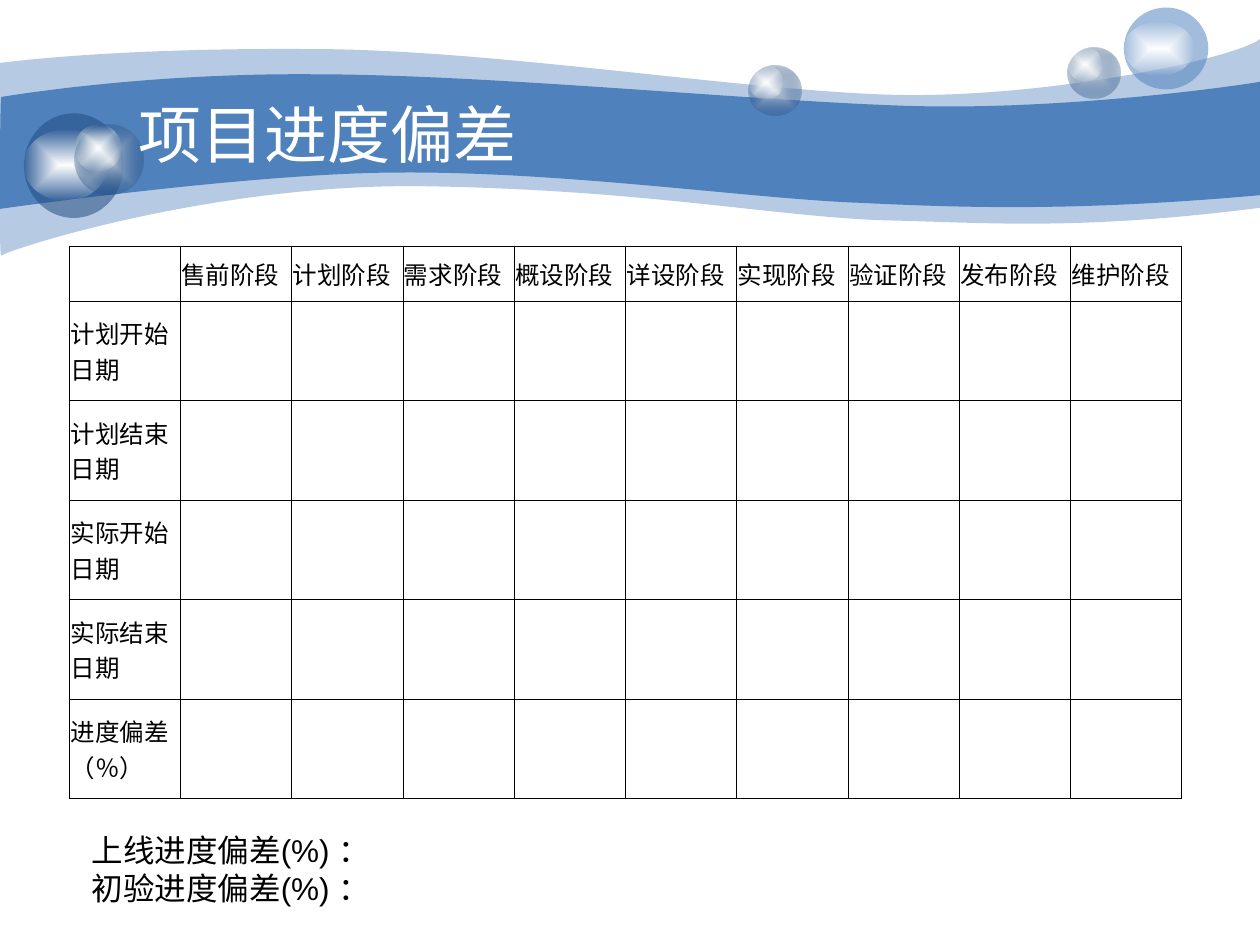
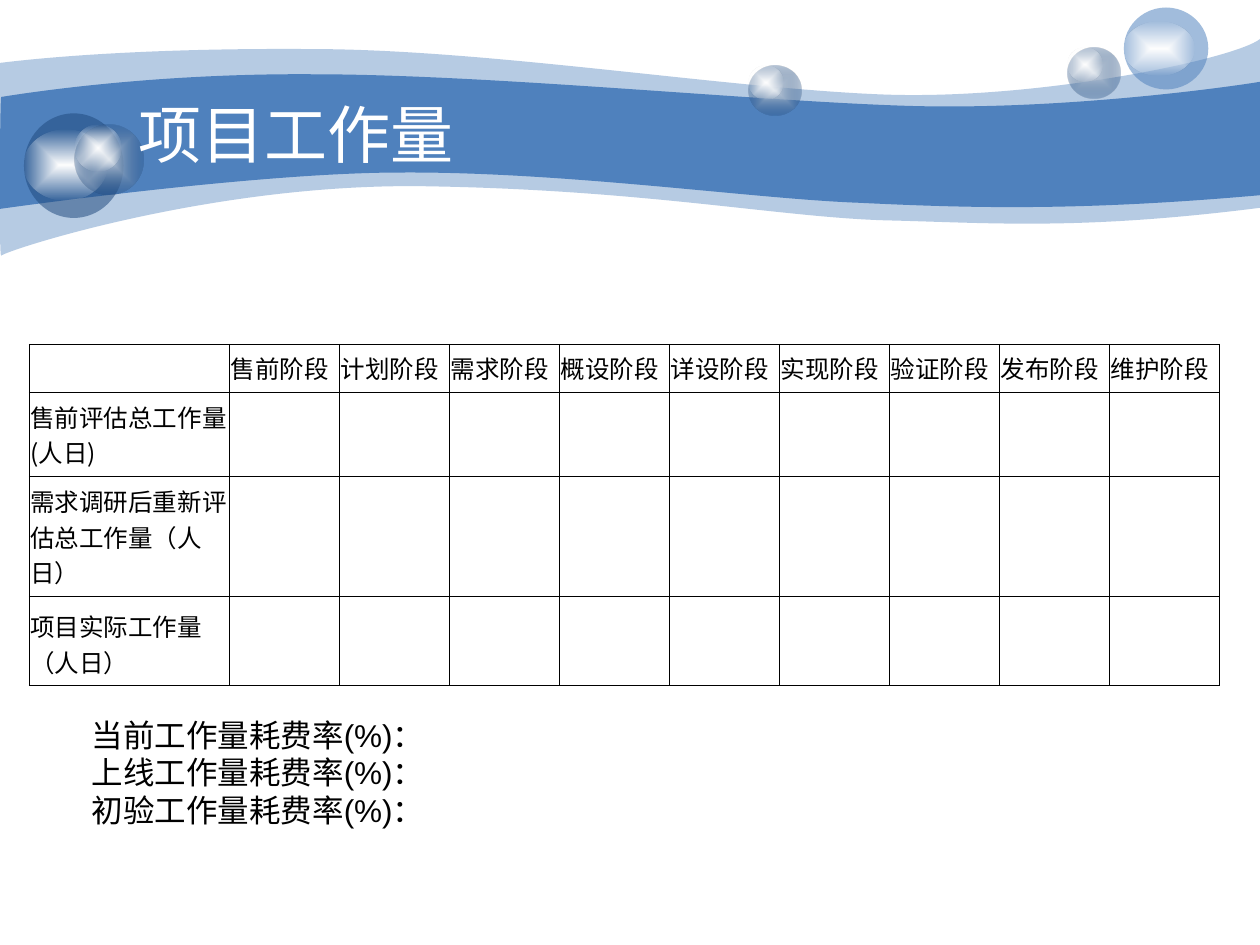
from lxml import etree
from pptx import Presentation
from pptx.dml.color import RGBColor
from pptx.enum.shapes import MSO_SHAPE
from pptx.enum.text import MSO_ANCHOR, MSO_AUTO_SIZE, PP_ALIGN
from pptx.oxml import parse_xml
from pptx.oxml.ns import nsdecls, qn
from pptx.util import Inches, Pt

OVAL = MSO_SHAPE.OVAL
MIDDLE, BOTTOM = MSO_ANCHOR.MIDDLE, MSO_ANCHOR.BOTTOM
LEFT = PP_ALIGN.LEFT
NO_FIT, GROW = MSO_AUTO_SIZE.NONE, MSO_AUTO_SIZE.SHAPE_TO_FIT_TEXT

BLUE = RGBColor(0x4F, 0x81, 0xBD)
NAVY = RGBColor(0x1F, 0x49, 0x7D)
MIST = RGBColor(0xC6, 0xD1, 0xDE)
WHITE = RGBColor(0xFF, 0xFF, 0xFF)
BLACK = RGBColor(0x00, 0x00, 0x00)

CJK_FONT, LATIN_FONT = "Noto Sans CJK SC", "Arial"
TITLE_ONLY = 5
UNITS_PER_INCH = 1000
BORDER_WIDTH = Pt(0.23)

PALE_WAVE = [
    (0, 0.5),
    (0.24, 0.47, 1.07, 0.38, 2.47, 0.39), (3.86, 0.39, 5.75, 0.7, 6.99, 0.75),
    (8.22, 0.8, 9.8, 0.47, 10, 0.31), (10, 1.65),
    (8.58, 1.83, 7.87, 1.77, 7.05, 1.75), (6.22, 1.73, 5.15, 1.51, 3.43, 1.48),
    (1.72, 1.44, 0.04, 1.99, 0.01, 2.03), (-0.01, 2.08, 0, 0.75, 0, 0.5),
]
DEEP_WAVE = [
    (0.01, 0.77),
    (0.02, 0.77, 1.1, 0.58, 2.48, 0.59), (3.86, 0.59, 5.95, 0.8, 7.18, 0.84),
    (8.41, 0.88, 9.76, 0.69, 10, 0.65), (10, 1.55),
    (8.53, 1.68, 7.65, 1.65, 6.82, 1.61), (5.99, 1.58, 4.47, 1.36, 3.17, 1.37),
    (2.03, 1.37, -0.02, 1.66, -0.01, 1.66), (0, 1.66, 0, 0.77, 0.01, 0.77),
]
GLASS = ((MIST, 100), (NAVY, 31))
GLOW = ((WHITE, 100), (WHITE, 0))
SPHERES = [
    ((8.47, 0.38, 0.42, 0.4), GLASS, (8.47, 0.38, 0.28, 0.27)),
    ((8.92, 0.06, 0.67, 0.65), BLUE, (8.92, 0.17, 0.56, 0.43)),
    ((0.19, 0.9, 0.79, 0.83), NAVY, (0.19, 1.03, 0.66, 0.56)),
    ((0.59, 0.99, 0.55, 0.55), GLASS, (0.59, 0.99, 0.37, 0.37)),
    ((5.94, 0.52, 0.42, 0.4), GLASS, (5.94, 0.52, 0.28, 0.27)),
]
PHASES = [name + "阶段" for name in
          ("售前", "计划", "需求", "概设", "详设", "实现", "验证", "发布", "维护")]


def fill_solid(s, color, alpha=100):
    """Fill a shape with one colour at the given opacity percentage."""
    s.fill.solid()
    s.fill.fore_color.rgb = color
    if alpha < 100:
        clr = s.element.spPr.find(qn("a:solidFill"))[0]
        etree.SubElement(clr, qn("a:alpha"), val=str(alpha * 1000))


def fill_radial(s, stops):
    """Fill a shape with a gradient running from its centre to its edge."""
    gs = "".join(
        f'<a:gs pos="{i * 100000}"><a:srgbClr val="{color}">'
        f'<a:alpha val="{alpha * 1000}"/></a:srgbClr></a:gs>'
        for i, (color, alpha) in enumerate(stops))
    grad = parse_xml(
        f'<a:gradFill {nsdecls("a")} rotWithShape="1"><a:gsLst>{gs}</a:gsLst>'
        '<a:path path="rect"><a:fillToRect l="50000" t="50000" r="50000" b="50000"/>'
        '</a:path></a:gradFill>')
    s.element.spPr.find(qn("a:prstGeom")).addnext(grad)


def bend(s, segments):
    """Join the straight steps of a freeform into its cubic curves."""
    steps = iter(list(s.element.iter(qn("a:lnTo"))))
    for seg in segments[1:]:
        first = next(steps)
        if len(seg) == 2:
            continue
        curve = etree.Element(qn("a:cubicBezTo"))
        first.addprevious(curve)
        for step in (first, next(steps), next(steps)):
            curve.append(step[0])
            step.getparent().remove(step)


def add_wave(slide, segments, alpha):
    """Draw one curved band across the slide."""
    points = [(seg[i] * UNITS_PER_INCH, seg[i + 1] * UNITS_PER_INCH)
              for seg in segments for i in range(0, len(seg), 2)]
    builder = slide.shapes.build_freeform(*points[0], scale=Inches(1) / UNITS_PER_INCH)
    builder.add_line_segments(points[1:], close=True)
    s = builder.convert_to_shape()
    bend(s, segments)
    fill_solid(s, BLUE, alpha)
    s.line.fill.background()
    s.shadow.inherit = False
    return s


def add_ball(slide, box, paint):
    """Draw one ellipse, see-through or with a radial gradient."""
    s = slide.shapes.add_shape(OVAL, *map(Inches, box))
    if isinstance(paint, RGBColor):
        fill_solid(s, paint, 53)
    else:
        fill_radial(s, paint)
    s.line.fill.background()
    s.shadow.inherit = False
    return s


def decorate(master, slide):
    """Draw the waves and spheres and move them into the slide master."""
    art = [add_wave(slide, PALE_WAVE, 41), add_wave(slide, DEEP_WAVE, 100)]
    for box, paint, glow_box in SPHERES:
        art += [add_ball(slide, box, paint), add_ball(slide, glow_box, GLOW)]
    for i, s in enumerate(art):
        master.shapes.element.insert(2 + i, s.element)


def style(p, size, font, color):
    """Set the font of a whole paragraph for Latin and Chinese text."""
    p.alignment = LEFT
    p.font.size = Pt(size)
    p.font.color.rgb = color
    p.font.name = font
    etree.SubElement(p._p.pPr.find(qn("a:defRPr")), qn("a:ea"), typeface=font)


def set_title(slide, text):
    """Write the slide title over the band."""
    s = slide.shapes.title
    s.left, s.top, s.width, s.height = map(Inches, (1, 0.75, 8.08, 0.62))
    tf = s.text_frame
    tf.text = text
    tf.word_wrap, tf.auto_size, tf.vertical_anchor = True, NO_FIT, MIDDLE
    style(tf.paragraphs[0], 36, CJK_FONT, WHITE)


def format_cell(cell, text, anchor):
    """Write a cell and give it thin black borders on white."""
    if text:
        cell.text = text
    cell.vertical_anchor = anchor
    cell.margin_left = cell.margin_right = Inches(0.01)
    cell.margin_top = cell.margin_bottom = Inches(0.05)
    style(cell.text_frame.paragraphs[0], 14, CJK_FONT, BLACK)
    tc_pr = cell._tc.get_or_add_tcPr()
    for side in "LRTB":
        tc_pr.append(parse_xml(
            f'<a:ln{side} {nsdecls("a")} w="{BORDER_WIDTH}"><a:solidFill>'
            f'<a:srgbClr val="{BLACK}"/></a:solidFill></a:ln{side}>'))
    cell.fill.solid()
    cell.fill.fore_color.rgb = WHITE


def add_phase_table(slide, box, label_width, heights, labels, low_rows=()):
    """Add an empty grid of project phases against the given row labels."""
    frame = slide.shapes.add_table(len(labels) + 1, len(PHASES) + 1, *map(Inches, box))
    table = frame.table
    table.first_row = table.horz_banding = False
    phase_width = (box[2] - label_width) / len(PHASES)
    for i, column in enumerate(table.columns):
        column.width = Inches(phase_width if i else label_width)
    for row, height in zip(table.rows, heights):
        row.height = Inches(height)
    blanks = [""] * len(PHASES)
    grid = [["", *PHASES]] + [[label, *blanks] for label in labels]
    for r, texts in enumerate(grid):
        for c, text in enumerate(texts):
            format_cell(table.cell(r, c), text, BOTTOM if r in low_rows else MIDDLE)


def add_summary(slide, top, height, lines):
    """Add the summary lines below the table."""
    s = slide.shapes.add_textbox(*map(Inches, (0.63, top, 6.02, height)))
    tf = s.text_frame
    tf.word_wrap, tf.auto_size = True, GROW
    tf.text = "\n".join(lines)
    for p in tf.paragraphs:
        style(p, 18, LATIN_FONT, BLACK)


def main():
    """Build both project report slides."""
    prs = Presentation()
    prs.slide_width, prs.slide_height = Inches(10), Inches(7.5)
    layout = prs.slide_layouts[TITLE_ONLY]

    schedule = prs.slides.add_slide(layout)
    decorate(prs.slide_master, schedule)
    set_title(schedule, "项目进度偏差")
    add_phase_table(schedule, (0.55, 1.95, 8.83, 4.38), 0.88, [0.44] + [0.79] * 5,
                    ["计划开始日期", "计划结束日期", "实际开始日期", "实际结束日期",
                     "进度偏差（％）"])
    add_summary(schedule, 6.55, 0.7, ["上线进度偏差(%) ：", "初验进度偏差(%) ："])

    workload = prs.slides.add_slide(layout)
    set_title(workload, "项目工作量")
    add_phase_table(workload, (0.23, 2.73, 9.45, 2.43), 1.59, [0.38, 0.61, 0.73, 0.71],
                    ["售前评估总工作量(人日)", "需求调研后重新评估总工作量（人日）",
                     "项目实际工作量（人日）"], low_rows=(2, 3))
    add_summary(workload, 5.63, 1, [stage + "工作量耗费率(%)：" for stage in
                                    ("当前", "上线", "初验")])

    prs.save("out.pptx")


if __name__ == "__main__":
    main()
